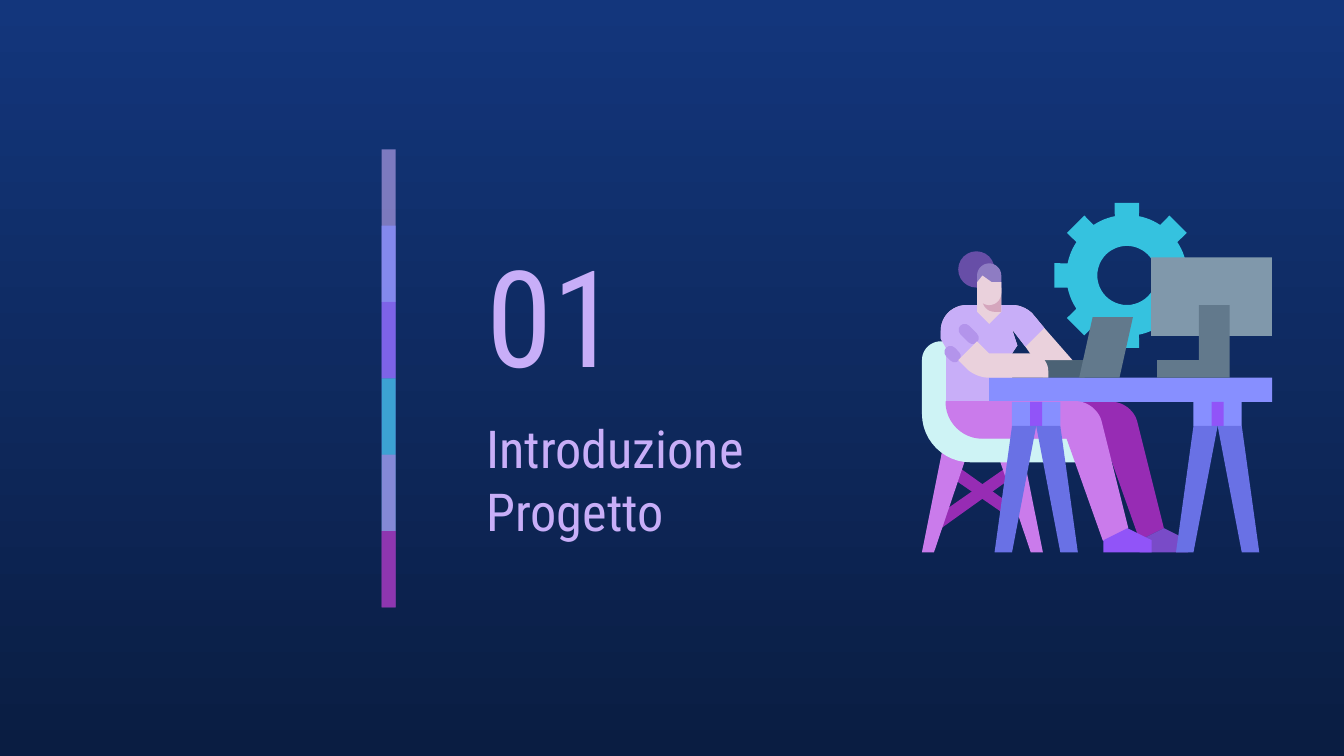
"""Build the section slide with its colour bar and desk scene."""
from math import asin, cos, dist, pi, sin

from lxml.etree import SubElement
from pptx import Presentation
from pptx.dml.color import RGBColor
from pptx.enum.shapes import MSO_SHAPE as Kind
from pptx.enum.text import MSO_ANCHOR as Anchor
from pptx.oxml.ns import qn
from pptx.util import Pt

SKY = RGBColor.from_string("13367C")
NIGHT = RGBColor.from_string("0A1D42")
LILAC = RGBColor.from_string("C8AEF8")
MAUVE = RGBColor.from_string("B394EB")
BLUE = RGBColor.from_string("878FFF")
INDIGO = RGBColor.from_string("6971E5")
VIOLET = RGBColor.from_string("9154F8")
GRAPE = RGBColor.from_string("794BC8")
CYAN = RGBColor.from_string("35C2DF")
ICE = RGBColor.from_string("CEF3F5")
PINK = RGBColor.from_string("CA7BEB")
PLUM = RGBColor.from_string("972CB4")
SKIN = RGBColor.from_string("EAD1DC")
BLUSH = RGBColor.from_string("D5A6BD")
HAIR = RGBColor.from_string("8E7CC3")
BUN = RGBColor.from_string("674EA7")
SLATE = RGBColor.from_string("4B6275")
STEEL = RGBColor.from_string("62798C")
SILVER = RGBColor.from_string("8098AB")
UNIT = 0.72

deck = Presentation()
deck.slide_width, deck.slide_height = Pt(720), Pt(405)
slide = deck.slides.add_slide(deck.slide_layouts[6])
shapes = slide.shapes


def write(text, left, top, width, height, size, anchor=Anchor.TOP):
    frame = shapes.add_textbox(Pt(left), Pt(top), Pt(width), Pt(height)).text_frame
    frame.word_wrap = True
    frame.vertical_anchor = anchor
    frame.margin_left = frame.margin_right = Pt(7.2)
    frame.margin_top = frame.margin_bottom = Pt(7.2)
    frame.paragraphs[0].text = text
    for run in frame.paragraphs[0].runs:
        run.font.name = "Roboto Condensed"
        run.font.size = Pt(size)
        run.font.color.rgb = LILAC


def paint(shape, color):
    shape.shadow.inherit = False
    shape.fill.solid()
    shape.fill.fore_color.rgb = color
    shape.line.fill.background()
    return shape


back = slide.background.fill
back.gradient()
back.gradient_angle = 270
for stop, color in zip(back.gradient_stops, (SKY, NIGHT)):
    stop.color.rgb = color

write("01", 253.5, 119.5, 126, 97.2, size=72, anchor=Anchor.MIDDLE)
write("Introduzione\vProgetto", 253.5, 216, 206.5, 69, size=28)

half = asin(9 / 45)
rim = []
for tooth in range(8):
    turn = tooth * pi / 4
    tip = asin(9 / 54)
    rim += [(54.7, turn - tip), (54.7, turn + tip)]
    rim += [(45, turn + half + (pi / 4 - 2 * half) * k / 6) for k in range(7)]
hole = [(22, -k * pi / 24) for k in range(48)]
rim, hole = [[(Pt(UNIT * (838.5 + r * cos(a))), Pt(UNIT * (205 + r * sin(a))))
              for r, a in ring] for ring in (rim, hole)]
gear = shapes.build_freeform(*rim[0])
gear.add_line_segments(rim[1:])
gear.move_to(*hole[0])
gear.add_line_segments(hole[1:])
paint(gear.convert_to_shape(), CYAN)

stands = [(PINK, 731, 331, (9, 36, 45, 29)), (INDIGO, 906, 317, (0, 18, 31, 18)),
          (INDIGO, 771, 317, (0, 18, 31, 18))]
legs = [(color, None, [(mid + side * x, y) for x, y in zip(spread, (top, 411, 411, top))])
        for color, mid, top, spread in stands for side in (1, -1)]

limbs = []
for x, cloth, shoe in ((731, PLUM, GRAPE), (704, PINK, VIOLET)):
    limbs += [
        (cloth, None, [(x, 299), (x, 326, 27), (x + 90, 326), (x + 117, 402),
                       (x + 135, 393), (x + 111.5, 299, 15)]),
        (shoe, None, [(x + 135, 393), (x + 117, 402), (x + 117, 411),
                      (x + 153, 411), (x + 153, 402)]),
    ]

torso = [(700, 227, 19), (700, 252), (704, 259), (704, 299), (753, 299), (753, 263),
         (757, 257), (753, 245), (763, 258)]
sleeve = [(777, 244), (763, 227, 9)]

parts = [
    (SLATE, Kind.RECTANGLE, (776, 268, 31, 13)),
    (PLUM, None, [(711, 346), (706, 354), (748, 383), (753, 376)]),
    (PLUM, None, [(750, 347), (694, 386), (699, 394), (755, 354)]),
    *legs[:2],
    (ICE, None, [(686, 254, 14), (686, 344, 36), (807, 344), (807, 322),
                 (709, 322, 22), (709, 254)]),
    *limbs[:2],
    (SKIN, None, torso + [(770, 268), (798, 268)] + sleeve),
    (LILAC, None, torso + sleeve),
    (BLUE, Kind.RECTANGLE, (736, 281, 210.5, 18)),
    (MAUVE, Kind.ROUNDED_RECTANGLE, (702, 259, 13.5, 9)),
    (MAUVE, Kind.ROUNDED_RECTANGLE, (712, 244, 17.5, 9)),
    (SKIN, None, [(727, 214), (727, 232), (736, 241), (745, 232), (745, 214)]),
    (SKIN, None, [(727, 254), (713, 268), (726, 281, 9), (780, 281), (780, 263, 13), (736, 263)]),
    (STEEL, Kind.PARALLELOGRAM, (803, 236, 40, 45)),
    *limbs[2:],
    (SILVER, Kind.RECTANGLE, (856.5, 191.5, 90, 58.5)),
    (STEEL, None, [(892, 227), (892, 268), (861, 268), (861, 281), (915, 281), (915, 227)]),
]
for x in (888, 753):
    parts += [(BLUE, Kind.RECTANGLE, (x, 299, 36, 18)),
              (VIOLET, Kind.RECTANGLE, (x + 13.5, 299, 9, 18))]
parts += legs[2:]
parts += [
    (BLUSH, None, [(731, 214), (731, 232, 9), (745, 232), (745, 214)]),
    (BUN, Kind.OVAL, (713, 187, 27, 27)),
    (HAIR, None, [(727, 196, 9), (745, 196, 9), (745, 214), (727, 214)]),
    (SKIN, None, [(731, 205), (727, 210), (727, 227, 9), (745, 227, 9), (745, 210), (738, 210)]),
]

for color, kind, steps in parts:
    if kind:
        shape = paint(shapes.add_shape(kind, *[Pt(UNIT * v) for v in steps]), color)
        if kind == Kind.ROUNDED_RECTANGLE:
            shape.adjustments[0] = 0.5
            shape.rotation = 45
        continue
    dots = []
    for i, (x, y, *bend) in enumerate(steps):
        if not bend:
            dots.append((x, y))
            continue
        ends = []
        for near in (steps[i - 1], steps[(i + 1) % len(steps)]):
            part = bend[0] / dist((x, y), near[:2])
            ends.append((part * (near[0] - x), part * (near[1] - y)))
        (ax, ay), (bx, by) = ends
        for k in range(13):
            t = k / 12
            a = (1 - t) ** 3 + 1.35 * t * (1 - t) ** 2
            b = t ** 3 + 1.35 * t * t * (1 - t)
            dots.append((x + a * ax + b * bx, y + a * ay + b * by))
    dots = [(Pt(UNIT * x), Pt(UNIT * y)) for x, y in dots]
    form = shapes.build_freeform(*dots[0])
    form.add_line_segments(dots[1:])
    shape = paint(form.convert_to_shape(), color)
    if steps[0] == (704, 299):
        shape.line.color.rgb = PINK
        shape.line.width = Pt(0.75)

bars = [(LILAC, 59), (BLUE, 74), (VIOLET, 53), (CYAN, 76), (PINK, 56), (PLUM, 74)]
gap = 40.9
for row, (color, alpha) in enumerate(bars):
    tall = gap if row == len(bars) - 1 else 2 * gap
    bar = shapes.add_shape(Kind.RECTANGLE, Pt(204.5), Pt(80 + row * gap), Pt(7.5), Pt(tall))
    paint(bar, color)
    tint = bar.element.spPr.find(qn("a:solidFill"))[0]
    SubElement(tint, qn("a:alpha")).set("val", str(alpha * 1000))

deck.save("out.pptx")
